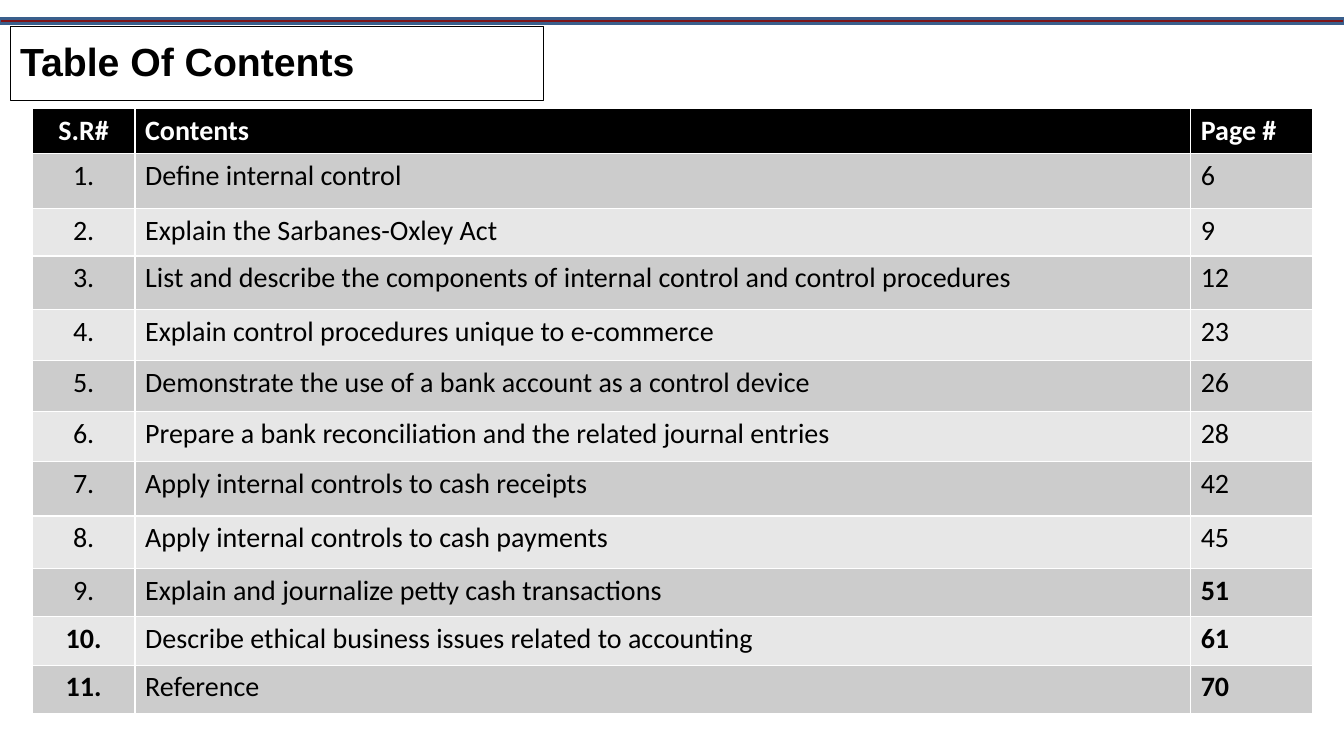
"""Build a table of contents slide for a chapter on internal control."""
from pptx import Presentation
from pptx.dml.color import RGBColor
from pptx.enum.shapes import MSO_SHAPE
from pptx.enum.text import MSO_ANCHOR, MSO_AUTO_SIZE, PP_ALIGN
from pptx.util import Inches, Pt

RECTANGLE = MSO_SHAPE.RECTANGLE
MIDDLE = MSO_ANCHOR.MIDDLE
NO_AUTOFIT = MSO_AUTO_SIZE.NONE
LEFT, CENTER = PP_ALIGN.LEFT, PP_ALIGN.CENTER

HEADINGS = ("S.R#", "Contents", "Page #")
TOPICS = [
    ("Define internal control", 6),
    ("Explain the Sarbanes-Oxley Act", 9),
    ("List and describe the components of internal control and control procedures", 12),
    ("Explain control procedures unique to e-commerce", 23),
    ("Demonstrate the use of a bank account as a control device", 26),
    ("Prepare a bank reconciliation and the related journal entries", 28),
    ("Apply internal controls to cash receipts", 42),
    ("Apply internal controls to cash payments", 45),
    ("Explain and journalize petty cash transactions", 51),
    ("Describe ethical business issues related to accounting", 61),
    ("Reference", 70),
]
COLUMN_WIDTHS = (1.02, 10.47, 1.21)
ROW_HEIGHTS = (0.43, 0.55, 0.47, 0.53, 0.51, 0.5, 0.5, 0.54, 0.52, 0.48, 0.48, 0.48)
FIRST_BOLD_ROWS = (10, len(ROW_HEIGHTS), 9)


def color(value):
    return RGBColor.from_string(value)


def style_text(paragraph, font_name, size, value, bold, alignment):
    paragraph.alignment = alignment
    paragraph.font.name = font_name
    paragraph.font.size = Pt(size)
    paragraph.font.bold = bold
    paragraph.font.color.rgb = color(value)


deck = Presentation()
deck.slide_width, deck.slide_height = Inches(13.33), Inches(7.5)
page = deck.slides.add_slide(deck.slide_layouts[5])

band = page.shapes.add_shape(RECTANGLE, 0, Inches(0.18), Inches(13.33), Inches(0.05))
band.shadow.inherit = False
band.fill.solid()
band.fill.fore_color.rgb = color("7F1417")
band.line.color.rgb = color("3A5F8C")
band.line.width = Pt(2)

title = page.shapes.title
title.left, title.top = Inches(0.1), Inches(0.26)
title.width, title.height = Inches(5.29), Inches(0.74)
title.line.color.rgb = color("000000")
title.line.width = Pt(0.75)
title.text_frame.text = "Table Of Contents"
title.text_frame.auto_size = NO_AUTOFIT
title.text_frame.vertical_anchor = MIDDLE
heading = title.text_frame.paragraphs[0]
heading.line_spacing = 0.9
style_text(heading, "Arial", 28, "000000", True, LEFT)

rows = [HEADINGS] + [
    (f"{number}.", topic, str(page_number))
    for number, (topic, page_number) in enumerate(TOPICS, 1)
]
contents = page.shapes.add_table(
    len(rows), len(HEADINGS), Inches(0.32), Inches(1.08),
    Inches(sum(COLUMN_WIDTHS)), Inches(sum(ROW_HEIGHTS))).table
for column, width in zip(contents.columns, COLUMN_WIDTHS):
    column.width = Inches(width)

for row_index, (texts, height) in enumerate(zip(rows, ROW_HEIGHTS)):
    contents.rows[row_index].height = Inches(height)
    is_header = row_index == 0
    band_fill = "CCCCCC" if row_index % 2 else "E7E7E7"
    for column_index, text in enumerate(texts):
        cell = contents.cell(row_index, column_index)
        cell.fill.solid()
        cell.fill.fore_color.rgb = color("000000" if is_header else band_fill)
        cell.text = text
        style_text(
            cell.text_frame.paragraphs[0], "Calibri", 20,
            "FFFFFF" if is_header else "000000",
            is_header or row_index >= FIRST_BOLD_ROWS[column_index],
            CENTER if column_index == 0 else LEFT)

deck.save("out.pptx")
